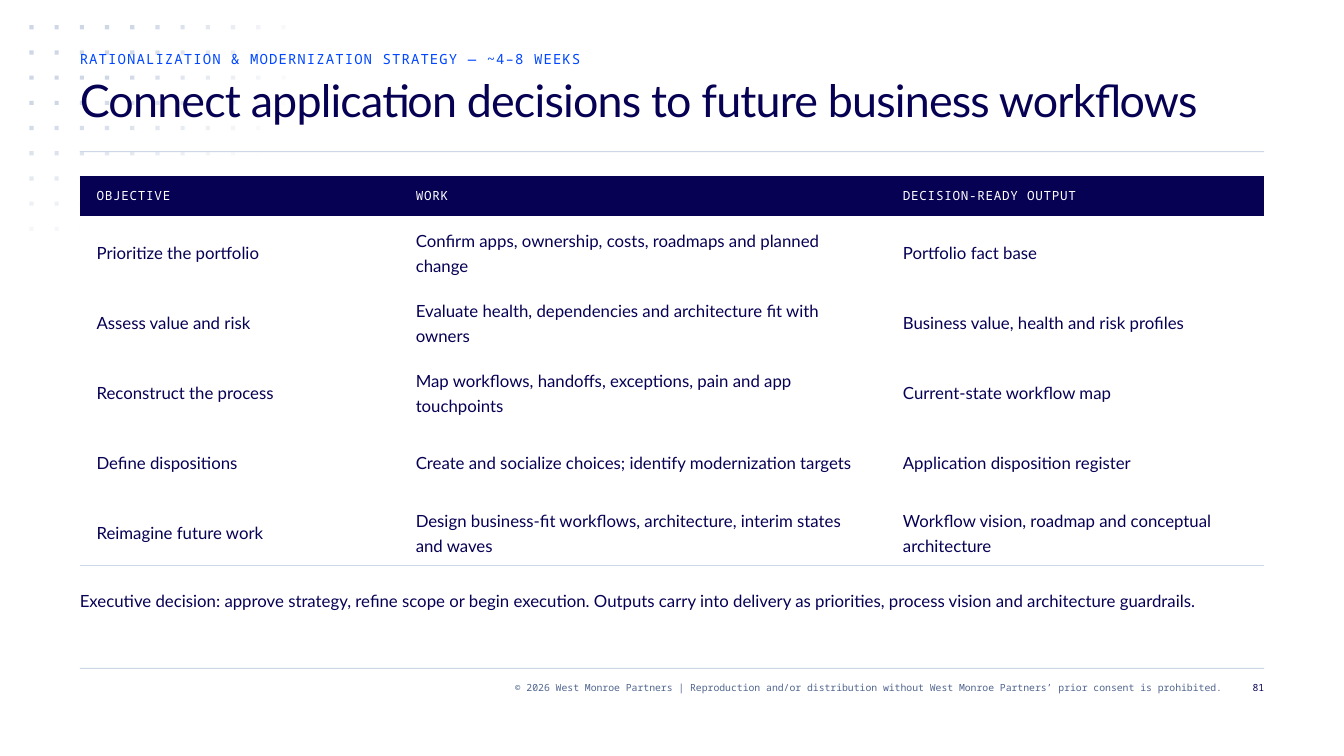
from dataclasses import dataclass
from math import hypot

from lxml import etree
from pptx import Presentation
from pptx.dml.color import RGBColor
from pptx.enum.shapes import MSO_SHAPE
from pptx.enum.text import MSO_ANCHOR, PP_ALIGN
from pptx.oxml.ns import qn
from pptx.util import Emu, Inches, Pt

RECT = MSO_SHAPE.RECTANGLE
LEFT, RIGHT = PP_ALIGN.LEFT, PP_ALIGN.RIGHT
MIDDLE = MSO_ANCHOR.MIDDLE

# The grid: 320 columns by 180 rows, 24 to the inch
UNIT = Inches(1) / 24
COLS, ROWS = 320, 180
MARGIN, WIDTH = 19, 282


@dataclass(frozen=True)
class Theme:
    navy: str = "070154"
    blue: str = "0047FF"
    slate: str = "50658E"
    pale: str = "CED7E6"
    white: str = "FFFFFF"
    sans: str = "Lato"
    mono: str = "Noto Sans Mono"
    title: int = 32
    body: int = 12
    eyebrow: int = 10
    header: int = 9
    footer: int = 7


def grid(n):
    return Emu(round(n * UNIT))


def write(tf, text, size, font, color, leading, align=LEFT, spacing=0):
    tf.word_wrap = True
    p = tf.paragraphs[0]
    p.alignment = align
    p.line_spacing = Pt(leading)
    r = p.add_run()
    r.text = text
    r.font.size = Pt(size)
    r.font.name = font
    r.font.color.rgb = RGBColor.from_string(color)
    if spacing:
        r._r.get_or_add_rPr().set("spc", str(round(spacing * 100)))


class Deck:
    def __init__(self, theme):
        self.theme = theme
        self.prs = Presentation()
        self.prs.slide_width, self.prs.slide_height = grid(COLS), grid(ROWS)
        self.s = self.prs.slides.add_slide(self.prs.slide_layouts[6])

    def rect(self, x, y, w, h, color, alpha=100):
        sp = self.s.shapes.add_shape(RECT, *map(grid, (x, y, w, h)))
        sp.shadow.inherit = False
        sp.line.fill.background()
        sp.fill.solid()
        sp.fill.fore_color.rgb = RGBColor.from_string(color)
        if alpha < 100:
            clr = sp._element.spPr.find(".//" + qn("a:srgbClr"))
            etree.SubElement(clr, qn("a:alpha"), val=str(round(alpha * 1000)))

    def rule(self, y):
        self.rect(MARGIN, y, WIDTH, 0.25, self.theme.pale)

    def text(self, x, y, w, h, text, **fmt):
        tf = self.s.shapes.add_textbox(*map(grid, (x, y, w, h))).text_frame
        tf.margin_left = tf.margin_top = tf.margin_right = tf.margin_bottom = 0
        write(tf, text, **fmt)

    def dots(self, x, y, step, cols, rows):
        # Opacity falls with elliptical distance from the top left dot
        for i in range(cols):
            for j in range(rows):
                alpha = min(100, 152.7 - hypot(13.85 * i, 16.8 * j))
                if alpha >= 2:
                    self.rect(x + i * step, y + j * step, 1, 1, self.theme.pale, alpha)

    def borders(self, cell, bottom):
        tcPr = cell._tc.get_or_add_tcPr()
        for n, side in enumerate(("lnL", "lnR", "lnT", "lnB")):
            ln = etree.Element(qn("a:" + side), w=str(Pt(0.75)))
            if side == "lnB" and bottom:
                fill = etree.SubElement(ln, qn("a:solidFill"))
                etree.SubElement(fill, qn("a:srgbClr"), val=self.theme.pale)
            else:
                etree.SubElement(ln, qn("a:noFill"))
            tcPr.insert(n, ln)

    def table(self, x, y, widths, heights, data):
        t = self.theme
        header = dict(size=t.header, font=t.mono, color=t.white, leading=12, spacing=0.5)
        body = dict(size=t.body, font=t.sans, color=t.navy, leading=18)
        frame = self.s.shapes.add_table(
            len(data), len(widths), *map(grid, (x, y, sum(widths), sum(heights))))
        tbl = frame.table
        tbl.horz_banding = False
        for col, w in zip(tbl.columns, widths):
            col.width = grid(w)
        for n, (row, h, values) in enumerate(zip(tbl.rows, heights, data)):
            row.height = grid(h)
            for cell, value in zip(row.cells, values):
                cell.margin_left = cell.margin_right = grid(4)
                cell.margin_top = cell.margin_bottom = 0
                cell.vertical_anchor = MIDDLE
                cell.fill.solid()
                cell.fill.fore_color.rgb = RGBColor.from_string(t.white if n else t.navy)
                self.borders(cell, bottom=n > 0)
                write(cell.text_frame, value, **(body if n else header))


STAGES = [
    ("OBJECTIVE", "WORK", "DECISION-READY OUTPUT"),
    ("Prioritize the portfolio",
     "Confirm apps, ownership, costs, roadmaps and planned change",
     "Portfolio fact base"),
    ("Assess value and risk",
     "Evaluate health, dependencies and architecture fit with owners",
     "Business value, health and risk profiles"),
    ("Reconstruct the process",
     "Map workflows, handoffs, exceptions, pain and app touchpoints",
     "Current-state workflow map"),
    ("Define dispositions",
     "Create and socialize choices; identify modernization targets",
     "Application disposition register"),
    ("Reimagine future work",
     "Design business-fit workflows, architecture, interim states and waves",
     "Workflow vision, roadmap and conceptual architecture"),
]


def main():
    t = Theme()
    deck = Deck(t)

    # Background dots and rules
    deck.rule(159)
    deck.dots(7, 6, step=6, cols=11, rows=9)
    deck.rule(36)

    # Heading
    deck.text(MARGIN, 12, WIDTH, 4,
              "RATIONALIZATION & MODERNIZATION STRATEGY — ~4–8 WEEKS",
              size=t.eyebrow, font=t.mono, color=t.blue, leading=12, spacing=0.8)
    deck.text(MARGIN, 18, WIDTH, 18,
              "Connect application decisions to future business workflows",
              size=t.title, font=t.sans, color=t.navy, leading=36, spacing=-0.6)

    # Stages and the decision they lead to
    deck.table(MARGIN, 42, (76, 116, 90), [9.33] + [16.67] * 5, STAGES)
    deck.text(MARGIN, 139.5, WIDTH, 14,
              "Executive decision: approve strategy, refine scope or begin execution. "
              "Outputs carry into delivery as priorities, process vision and "
              "architecture guardrails.",
              size=t.body, font=t.sans, color=t.navy, leading=18)

    # Footer
    small = dict(size=t.footer, font=t.mono, leading=9, align=RIGHT)
    deck.text(57, 162, 234, 6,
              "© 2026 West Monroe Partners | Reproduction and/or distribution without "
              "West Monroe Partners’ prior consent is prohibited.",
              color=t.slate, **small)
    deck.text(293, 162, 8, 6, "81", color=t.navy, **small)

    deck.prs.save("out.pptx")


if __name__ == "__main__":
    main()
